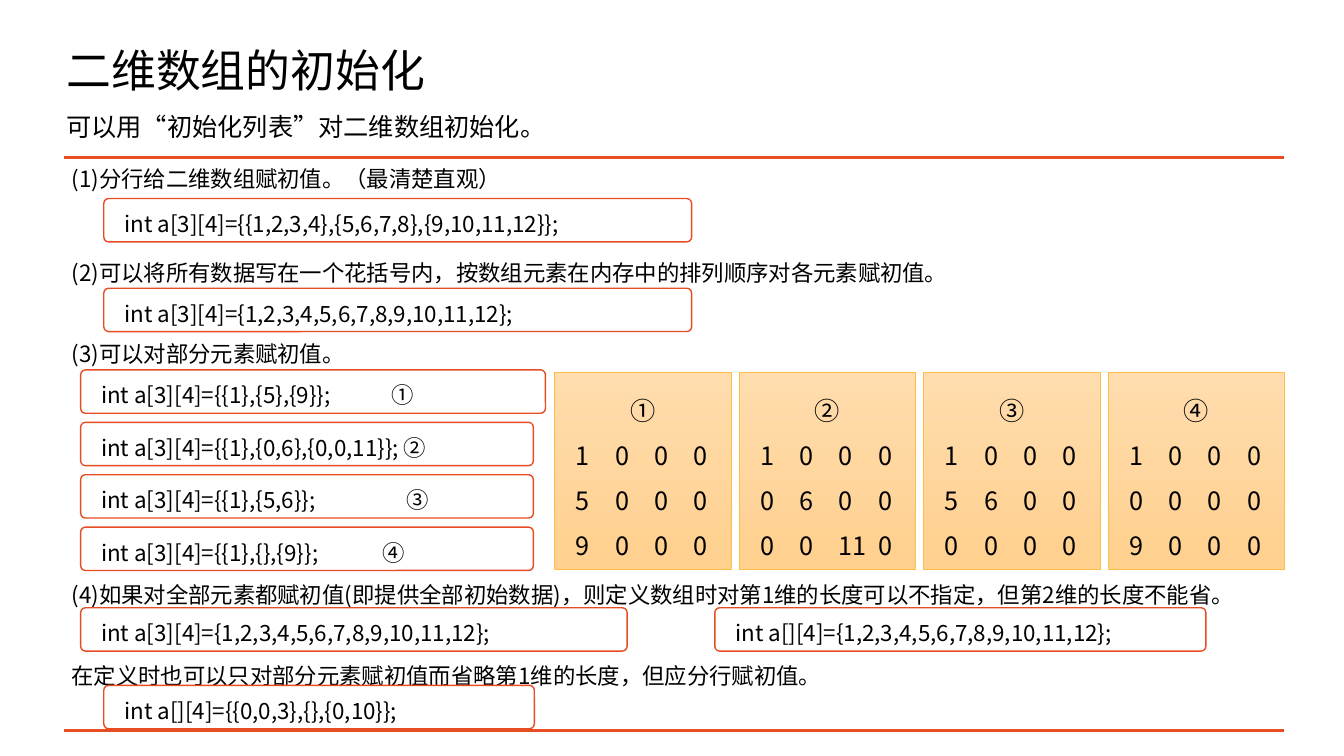
"""Build the slide on initialising two-dimensional arrays."""
from pptx import Presentation
from pptx.dml.color import RGBColor
from pptx.enum.shapes import MSO_CONNECTOR as Conn, MSO_SHAPE as Shape
from pptx.enum.text import MSO_ANCHOR as Anchor, MSO_AUTO_SIZE as Fit, PP_ALIGN as Align
from pptx.util import Inches, Pt
from lxml.etree import SubElement
from pptx.oxml.ns import qn

FONT = "Noto Sans CJK SC"
BLACK = RGBColor(0x00, 0x00, 0x00)
WHITE = RGBColor(0xFF, 0xFF, 0xFF)
RED = RGBColor(0xE8, 0x4C, 0x22)
GOLD = RGBColor(0xFF, 0xBD, 0x47)
LIGHT = RGBColor(0xFF, 0xDD, 0xAE)
DEEP = RGBColor(0xFF, 0xD0, 0x8E)


def write(para, text, size, pitch, stops=(), align=Align.LEFT):
    if stops:
        tabs = SubElement(para._p.get_or_add_pPr(), qn("a:tabLst"))
        for stop in stops:
            SubElement(tabs, qn("a:tab"), pos=str(int(Inches(stop))), algn="l")
    para.alignment = align
    para.line_spacing = Pt(pitch)
    run = para.add_run()
    run.text = text
    run.font.size = Pt(size)
    run.font.name = FONT
    run.font.color.rgb = BLACK
    SubElement(run._r.get_or_add_rPr(), qn("a:ea"), typeface=FONT)


def place(item, left, top, width, height):
    item.left, item.top = Inches(left), Inches(top)
    item.width, item.height = Inches(width), Inches(height)


deck = Presentation()
deck.slide_width, deck.slide_height = Inches(13.33), Inches(7.5)
slide = deck.slides.add_slide(deck.slide_layouts[1])
slide.background.fill.solid()
slide.background.fill.fore_color.rgb = WHITE
shapes = slide.shapes

title = shapes.title
place(title, 0.56, 0, 6.48, 1.39)
title.text_frame.vertical_anchor = Anchor.MIDDLE
title.text_frame.auto_size = Fit.NONE
write(title.text_frame.paragraphs[0], "二维数组的初始化", 32, 38)

body = slide.placeholders[1]
place(body, 0.63, 1.56, 12.1, 5.69)
frame = body.text_frame
frame.auto_size = Fit.NONE
frame.margin_left = frame.margin_top = Inches(0.08)
frame.margin_right = frame.margin_bottom = Inches(0.08)
rules = [
    ("(1)分行给二维数组赋初值。（最清楚直观）", 0),
    ("(2)可以将所有数据写在一个花括号内，按数组元素在内存中的排列顺序对各元素赋初值。", 48),
    ("(3)可以对部分元素赋初值。", 39),
    ("(4)如果对全部元素都赋初值(即提供全部初始数据)，则定义数组时对第1维的长度可以不指定，但第2维的长度不能省。", 153),
    ("在定义时也可以只对部分元素赋初值而省略第1维的长度，但应分行赋初值。", 39),
]
for i, (text, gap) in enumerate(rules):
    para = frame.add_paragraph() if i else frame.paragraphs[0]
    props = para._p.get_or_add_pPr()
    props.set("marL", "0")
    props.set("indent", "0")
    SubElement(props, qn("a:buNone"))
    write(para, text, 16, 19, align=Align.JUSTIFY)
    para.space_before = Pt(gap)

for y in (1.56, 7.25):
    line = shapes.add_connector(Conn.STRAIGHT, Inches(0.63), Inches(y), Inches(12.73), Inches(y))
    line.line.color.rgb = RED
    line.line.width = Pt(2)
    SubElement(line._element.spPr, qn("a:effectLst"))

intro = shapes.add_textbox(Inches(0.56), Inches(1.06), Inches(9.72), Inches(0.4))
intro.text_frame.word_wrap = True
write(intro.text_frame.paragraphs[0], "可以用“初始化列表”对二维数组初始化。", 18, 21)

codes = [
    (1.03, 1.97, 5.83, "int a[3][4]={{1,2,3,4},{5,6,7,8},{9,10,11,12}};", ()),
    (1.03, 2.86, 5.83, "int a[3][4]={1,2,3,4,5,6,7,8,9,10,11,12};", ()),
    (0.8, 3.67, 4.61, "int a[3][4]={{1},{5},{9}};\t①", (2.88,)),
    (0.8, 4.19, 4.49, "int a[3][4]={{1},{0,6},{0,0,11}}; ②", ()),
    (0.8, 4.71, 4.49, "int a[3][4]={{1},{5,6}};\t③", (3.03,)),
    (0.8, 5.23, 4.49, "int a[3][4]={{1},{},{9}};\t④", (2.79,)),
    (0.8, 6.03, 5.42, "int a[3][4]={1,2,3,4,5,6,7,8,9,10,11,12};", ()),
    (7.09, 6.03, 4.87, "int a[][4]={1,2,3,4,5,6,7,8,9,10,11,12};", ()),
    (1.03, 6.8, 4.27, "int a[][4]={{0,0,3},{},{0,10}};", ()),
]
for left, top, width, text, stops in codes:
    box = shapes.add_shape(Shape.ROUNDED_RECTANGLE, Inches(left), Inches(top), Inches(width), Inches(0.43))
    box.adjustments[0] = 0.11
    box.shadow.inherit = False
    box.fill.solid()
    box.fill.fore_color.rgb = WHITE
    box.line.color.rgb = RED
    box.line.width = Pt(1)
    frame = box.text_frame
    frame.vertical_anchor = Anchor.TOP
    frame.margin_left = Inches(0.19)
    write(frame.paragraphs[0], text, 16, 23, stops)

grids = [
    ("①", "1000", "5000", "9000"),
    ("②", "1000", "0600", ("0", "0", "11", "0")),
    ("③", "1000", "5600", "0000"),
    ("④", "1000", "0000", "9000"),
]
for i, (mark, *rows) in enumerate(grids):
    card = shapes.add_shape(Shape.RECTANGLE, Inches(5.5 + 1.83 * i), Inches(3.69), Inches(1.75), Inches(1.96))
    card.shadow.inherit = False
    card.fill.gradient()
    card.fill.gradient_angle = 270
    for stop, tone in zip(card.fill.gradient_stops, (LIGHT, DEEP)):
        stop.color.rgb = tone
    card.line.color.rgb = GOLD
    card.line.width = Pt(0.5)
    frame = card.text_frame
    frame.vertical_anchor = Anchor.MIDDLE
    frame.margin_left = frame.margin_right = Inches(0.21)
    write(frame.paragraphs[0], mark, 18, 32, align=Align.CENTER)
    for row in rows:
        write(frame.add_paragraph(), "\t".join(row), 18, 32, (0.39, 0.78, 1.17))

deck.save("out.pptx")
